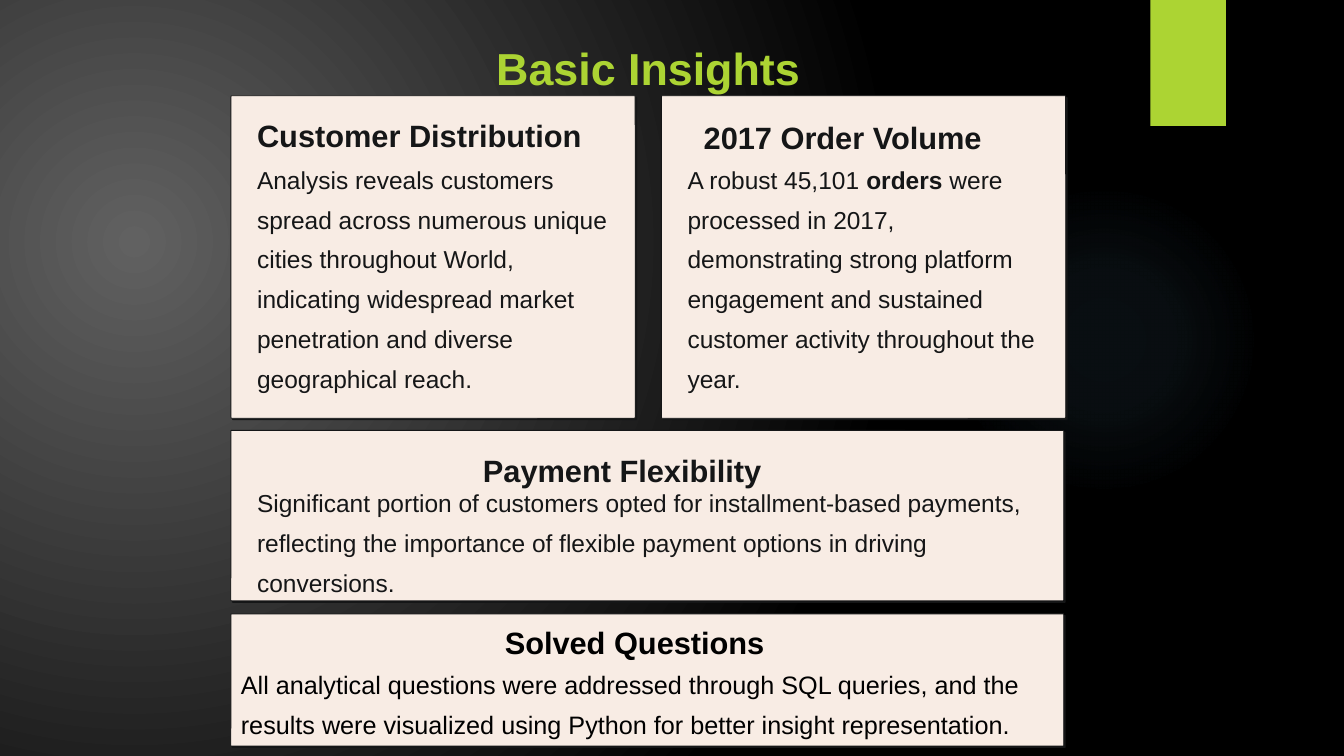
from lxml.etree import SubElement
from pptx import Presentation
from pptx.dml.color import RGBColor
from pptx.enum.shapes import MSO_SHAPE
from pptx.enum.text import MSO_ANCHOR, MSO_AUTO_SIZE, PP_ALIGN
from pptx.oxml import parse_xml
from pptx.oxml.ns import nsdecls, qn
from pptx.util import Inches, Pt

LIME = RGBColor(0xAC, 0xD4, 0x33)
CREAM = RGBColor(0xF8, 0xEC, 0xE4)
INK = RGBColor(0x15, 0x16, 0x17)
BLACK = RGBColor(0, 0, 0)
GREY = RGBColor(0x61, 0x61, 0x61)
SKY = RGBColor(0x7A, 0xC4, 0xF0)

TITLE = {"size": Pt(32), "bold": True, "color": LIME, "spacing": 55.5}
HEADING = {"size": Pt(22), "bold": True, "color": INK, "spacing": 27.5}
BODY = {"size": Pt(17.5), "bold": False, "color": INK, "spacing": 28.5}

LEFT, TOP, GAP = 2.29, 0.95, 0.26
CARD_WIDTH, CARD_HEIGHT, WIDE_WIDTH = 4.01, 3.2, 8.26
PADDING = 0.26


def circular_gradient(stops, focus):
    """Stops are (position, colour, opacity); focus is left, top, right, bottom; all in percent."""
    stop_xml = "".join(
        f'<a:gs pos="{position * 1000}"><a:srgbClr val="{color}">'
        f'<a:alpha val="{opacity * 1000}"/></a:srgbClr></a:gs>'
        for position, color, opacity in stops)
    sides = " ".join(f'{side}="{share * 1000}"' for side, share in zip("ltrb", focus))
    return parse_xml(
        f'<a:gradFill {nsdecls("a")} rotWithShape="1"><a:gsLst>{stop_xml}</a:gsLst>'
        f'<a:path path="circle"><a:fillToRect {sides}/></a:path></a:gradFill>')


def add_shadow(shape, color, opacity, blur, distance, angle):
    effects = shape.element.spPr.find(qn("a:effectLst"))
    shadow = SubElement(effects, qn("a:outerShdw"), blurRad=str(Pt(blur)),
                        dist=str(Pt(distance)), dir=str(angle * 60000),
                        algn="tl", rotWithShape="0")
    shade = SubElement(shadow, qn("a:srgbClr"), val=str(color))
    SubElement(shade, qn("a:alpha"), val=str(opacity * 1000))


def add_plain_shape(slide, kind, box, color):
    shape = slide.shapes.add_shape(kind, *map(Inches, box))
    shape.shadow.inherit = False
    shape.fill.solid()
    shape.fill.fore_color.rgb = color
    shape.line.fill.background()
    return shape


def write_text(shape, runs, style, align=PP_ALIGN.LEFT, **frame_format):
    """Runs are (text, bold) pairs, or one string in the style's own weight."""
    frame = shape.text_frame
    settings = {"word_wrap": True, "auto_size": MSO_AUTO_SIZE.NONE,
                "vertical_anchor": MSO_ANCHOR.TOP, "margin_left": 0, "margin_top": 0,
                "margin_right": 0, "margin_bottom": 0, **frame_format}
    for name, value in settings.items():
        setattr(frame, name, value)
    paragraph = frame.paragraphs[0]
    paragraph.alignment = align
    paragraph.line_spacing = Pt(style["spacing"])
    if isinstance(runs, str):
        runs = [(runs, style["bold"])]
    for text, bold in runs:
        run = paragraph.add_run()
        run.text = text
        for name, value in {"name": "Arial", "size": style["size"], "bold": bold}.items():
            setattr(run.font, name, value)
        run.font.color.rgb = style["color"]


def add_text(slide, box, runs, style, **options):
    write_text(slide.shapes.add_textbox(*map(Inches, box)), runs, style, **options)


def add_panel(slide, box):
    panel = add_plain_shape(slide, MSO_SHAPE.ROUNDED_RECTANGLE, box, CREAM)
    panel.adjustments[0] = 0.003
    panel.line.color.rgb = INK
    panel.line.width = Pt(0.6)
    add_shadow(panel, INK, 100, 0, 1.6, 45)
    return panel


def add_card(slide, box, heading, heading_offset, body, body_top):
    """Panel with a heading at an offset from its corner and a padded body below."""
    left, top, width, height = box
    add_panel(slide, box)
    across, down = heading_offset
    add_text(slide, (left + across, top + down, 3.5, 0.39), heading, HEADING)
    add_text(slide, (left + PADDING, top + body_top, width - 2 * PADDING + 0.01,
                     height - body_top), body, BODY)


def add_solved_questions(slide, box):
    left, top, _, _ = box
    panel = add_panel(slide, box)
    write_text(panel, "All analytical questions were addressed through SQL queries, and the "
               "results were visualized using Python for better insight representation.",
               {**BODY, "size": Pt(18), "color": BLACK}, vertical_anchor=MSO_ANCHOR.BOTTOM,
               margin_left=Inches(0.1), margin_right=Inches(0.1), margin_bottom=Inches(0.06))
    add_text(slide, (left + 2.37, top + 0.08, 3.27, 0.39), "Solved Questions",
             {**HEADING, "color": BLACK}, align=PP_ALIGN.CENTER)


def add_backdrop(slide):
    slide.background.fill.solid()
    background = slide.element.find(".//" + qn("p:bgPr"))
    background.replace(background[0], circular_gradient(
        [(0, GREY, 100), (100, BLACK, 100)], (45, 65, 125, 100)))

    glow = add_plain_shape(slide, MSO_SHAPE.OVAL, (9.41, 1.83, 3.08, 3.08), SKY)
    properties = glow.element.spPr
    properties.replace(properties.find(qn("a:solidFill")), circular_gradient(
        [(0, SKY, 7), (36, SKY, 6), (69, SKY, 0)], (50, 50, 50, 50)))

    tab = add_plain_shape(slide, MSO_SHAPE.RECTANGLE, (11.41, 0, 0.75, 1.25), LIME)
    add_shadow(tab, BLACK, 45, 3, 2, 90)


def add_title(slide, box):
    title = slide.shapes.title
    for name, value in zip(("left", "top", "width", "height"), box):
        setattr(title, name, Inches(value))
    write_text(title, "Basic Insights", TITLE, align=PP_ALIGN.CENTER)


def main():
    presentation = Presentation()
    presentation.slide_width = Inches(13.33)
    presentation.slide_height = Inches(7.5)
    slide = presentation.slides.add_slide(presentation.slide_layouts[5])
    add_backdrop(slide)
    add_title(slide, (3.33, 0.17, 6.2, 0.78))

    add_card(slide, (LEFT, TOP, CARD_WIDTH, CARD_HEIGHT),
             "Customer Distribution", (PADDING, 0.19),
             "Analysis reveals customers spread across numerous unique cities throughout "
             "World, indicating widespread market penetration and diverse geographical reach.",
             0.58)
    add_card(slide, (LEFT + CARD_WIDTH + GAP, TOP, CARD_WIDTH, CARD_HEIGHT),
             "2017 Order Volume", (0.42, 0.21),
             [("A robust 45,101", False), (" orders", True),
              (" were processed in 2017, demonstrating strong platform engagement and "
               "sustained customer activity throughout the year.", False)], 0.58)
    add_card(slide, (LEFT, 4.27, WIDE_WIDTH, 1.69),
             "Payment Flexibility", (2.5, 0.2),
             "Significant portion of customers opted for installment-based payments, "
             "reflecting the importance of flexible payment options in driving conversions.",
             0.47)
    add_solved_questions(slide, (LEFT, 6.09, WIDE_WIDTH, 1.31))
    presentation.save("out.pptx")


if __name__ == "__main__":
    main()
